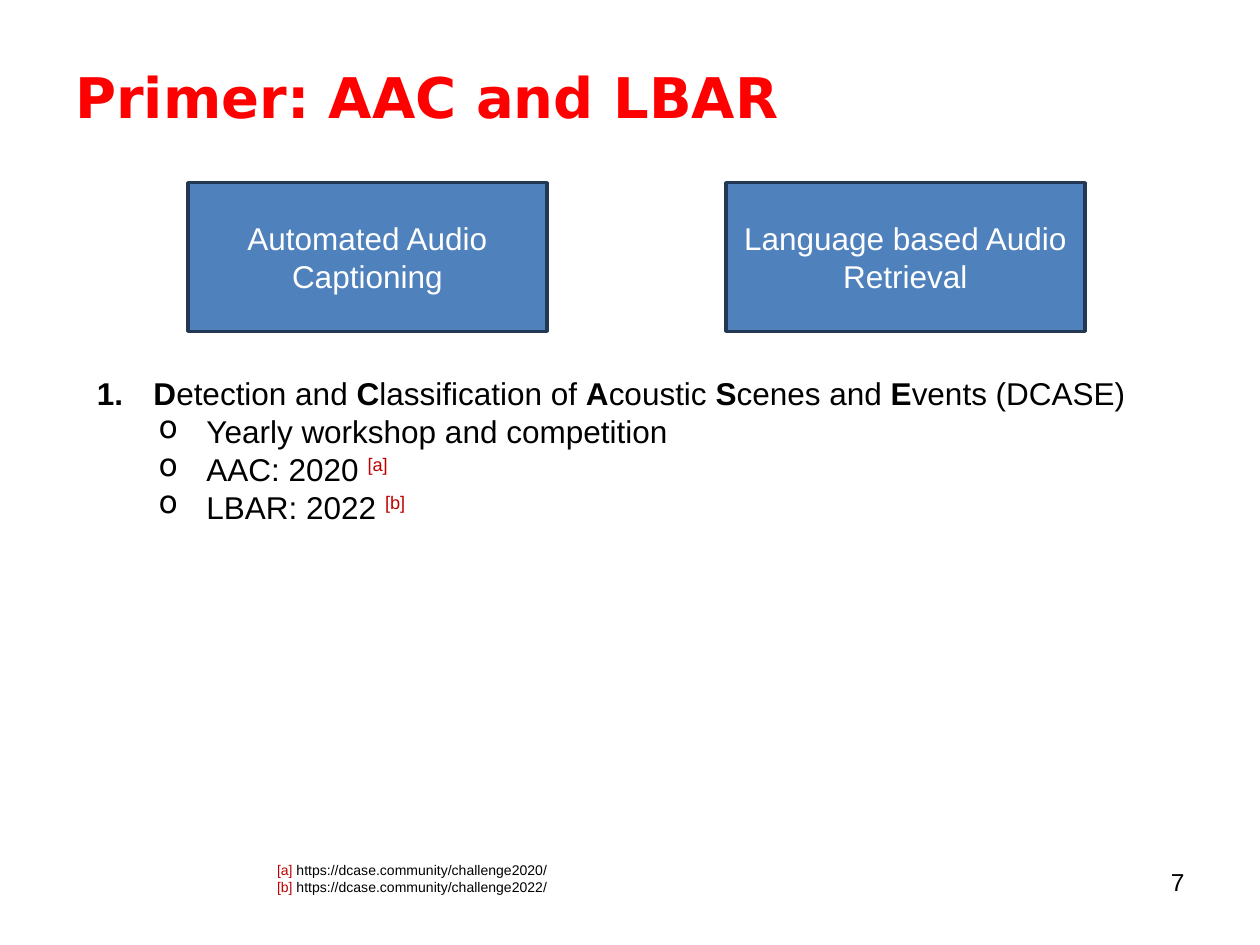
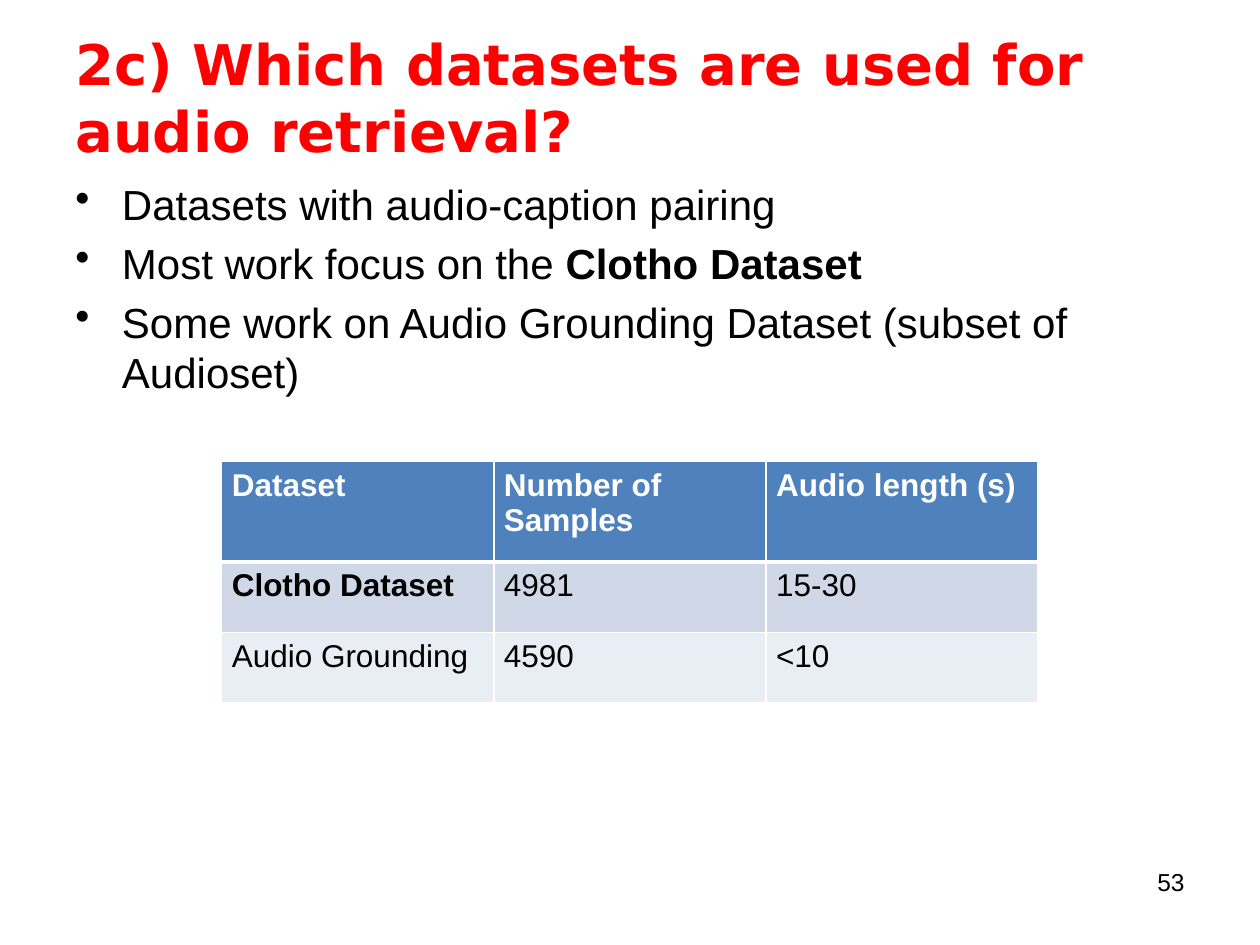
"""Builds two slides on audio captioning and language based audio retrieval."""
from lxml.etree import SubElement
from pptx import Presentation
from pptx.dml.color import RGBColor
from pptx.enum.shapes import MSO_SHAPE as Shape
from pptx.enum.text import MSO_ANCHOR as Anchor, PP_ALIGN as Align
from pptx.oxml.ns import qn
from pptx.util import Inches, Pt

RED = RGBColor(0xFF, 0x00, 0x00)
REFERENCE_RED = RGBColor(0xC0, 0x00, 0x00)
BLACK = RGBColor(0x00, 0x00, 0x00)
WHITE = RGBColor(0xFF, 0xFF, 0xFF)
BLUE = RGBColor(0x4F, 0x81, 0xBD)
NAVY = RGBColor(0x23, 0x39, 0x53)
BAND_DARK = RGBColor(0xD0, 0xD8, 0xE8)
BAND_LIGHT = RGBColor(0xE9, 0xED, 0xF4)
BODY_FONT, TITLE_FONT = "Arial", "DejaVu Sans"

WIDTH, HEIGHT, MARGIN = 10, 7.5, 0.5
CONTENT_WIDTH = WIDTH - 2 * MARGIN

BOLD = {"bold": True}
REFERENCE = {"color": REFERENCE_RED}
RAISED = {"color": REFERENCE_RED, "raised": True}
NUMBERED = {"bullet": ("buAutoNum", "type", "arabicPeriod"), "indent": 0.45, "hanging": 0.45}
CIRCLE = {"bullet": ("buChar", "char", "o"), "indent": 0.87, "hanging": 0.38, "level": 1}
DOT = {"bullet": ("buChar", "char", "•"), "indent": 0.37, "hanging": 0.37}

TASKS = ["Automated Audio Captioning", "Language based Audio Retrieval"]
CHALLENGE = [
    (NUMBERED, [("D", BOLD), "etection and ", ("C", BOLD), "lassification of ",
                ("A", BOLD), "coustic ", ("S", BOLD), "cenes and ",
                ("E", BOLD), "vents (DCASE)"]),
    (CIRCLE, ["Yearly workshop and competition"]),
    (CIRCLE, ["AAC: 2020 ", ("[a]", RAISED)]),
    (CIRCLE, ["LBAR: 2022 ", ("[b]", RAISED)]),
]
SOURCES = [
    ({}, [("[a]", REFERENCE), " https://dcase.community/challenge2020/"]),
    ({}, [("[b]", REFERENCE), " https://dcase.community/challenge2022/"]),
]
DATASET_POINTS = [
    (DOT, ["Datasets with audio-caption pairing"]),
    (DOT, ["Most work focus on the ", ("Clotho Dataset", BOLD)]),
    (DOT, ["Some work on Audio Grounding Dataset (subset of Audioset)"]),
]
DATASETS = [
    [("Dataset", BOLD), ("Number of Samples", BOLD), ("Audio length (s)", BOLD)],
    [("Clotho Dataset", BOLD), "4981", "15-30"],
    ["Audio Grounding", "4590", "<10"],
]
ROW_HEIGHTS = [0.8, 0.56, 0.56]
ROW_FILLS = [BLUE, BAND_DARK, BAND_LIGHT]


def set_bullet(paragraph, bullet, indent, hanging, level=0):
    paragraph.level = level
    properties = paragraph._p.get_or_add_pPr()
    properties.set("marL", str(Inches(indent)))
    properties.set("indent", str(-Inches(hanging)))
    tag, attribute, value = bullet
    SubElement(properties, qn("a:" + tag)).set(attribute, value)


def write_text(frame, content, size=18, color=BLACK, font=BODY_FONT, bold=False,
               align=Align.LEFT, anchor=Anchor.TOP, gap=0):
    """Fill a text frame from a string or a list of (list style, runs)."""
    frame.word_wrap = True
    frame.vertical_anchor = anchor
    paragraphs = [({}, [content])] if isinstance(content, str) else content
    for index, (list_style, runs) in enumerate(paragraphs):
        paragraph = frame.add_paragraph() if index else frame.paragraphs[0]
        paragraph.alignment = align
        if index and gap:
            paragraph.space_before = Pt(gap)
        if list_style:
            set_bullet(paragraph, **list_style)
        for item in runs:
            text, style = (item, {}) if isinstance(item, str) else item
            run = paragraph.add_run()
            run.text = text
            run.font.name, run.font.size = font, Pt(size)
            run.font.bold = style.get("bold", bold)
            run.font.color.rgb = style.get("color", color)
            if style.get("raised"):
                run._r.get_or_add_rPr().set("baseline", "30000")


def add_text(slide, content, left, top, width, height, **text_format):
    box = slide.shapes.add_textbox(*map(Inches, (left, top, width, height)))
    write_text(box.text_frame, content, **text_format)


def add_slide(presentation, title, number):
    slide = presentation.slides.add_slide(presentation.slide_layouts[6])
    add_text(slide, title, MARGIN, 0.31, CONTENT_WIDTH, 0.91, size=32, color=RED,
             font=TITLE_FONT, bold=True, anchor=Anchor.MIDDLE)
    number_width = 2.33
    add_text(slide, str(number), WIDTH - MARGIN - number_width, 6.83, number_width, 0.52,
             size=14, align=Align.RIGHT)
    return slide


def add_task_boxes(slide, left=1.49, top=1.45, width=2.85, height=1.18, step=4.27):
    for column, task in enumerate(TASKS):
        box = slide.shapes.add_shape(
            Shape.RECTANGLE, *map(Inches, (left + column * step, top, width, height)))
        box.shadow.inherit = False
        box.fill.solid()
        box.fill.fore_color.rgb = BLUE
        box.line.color.rgb = NAVY
        box.line.width = Pt(2)
        write_text(box.text_frame, task, color=WHITE, align=Align.CENTER, anchor=Anchor.MIDDLE)


def set_borders(cell, **widths):
    properties = cell._tc.get_or_add_tcPr()
    for side in "LRTB":
        line = SubElement(properties, qn("a:ln" + side), w=str(Pt(widths.get(side, 1))))
        fill = SubElement(line, qn("a:solidFill"))
        SubElement(fill, qn("a:srgbClr"), val=str(WHITE))


def add_dataset_table(slide, top=3.66, column_width=2.16):
    columns = len(DATASETS[0])
    width = columns * column_width
    left = (WIDTH - width) / 2
    table = slide.shapes.add_table(
        len(DATASETS), columns, *map(Inches, (left, top, width, sum(ROW_HEIGHTS)))).table
    for column in table.columns:
        column.width = Inches(column_width)
    for row, values in enumerate(DATASETS):
        table.rows[row].height = Inches(ROW_HEIGHTS[row])
        for column, value in enumerate(values):
            cell = table.cell(row, column)
            cell.margin_left = cell.margin_right = Inches(0.08)
            set_borders(cell, T=3 if row == 1 else 1, B=3 if row == 0 else 1)
            cell.fill.solid()
            cell.fill.fore_color.rgb = ROW_FILLS[row]
            write_text(cell.text_frame, [({}, [value])], color=BLACK if row else WHITE)


def main():
    presentation = Presentation()
    presentation.slide_width, presentation.slide_height = Inches(WIDTH), Inches(HEIGHT)

    primer = add_slide(presentation, "Primer: AAC and LBAR", 7)
    add_task_boxes(primer)
    add_text(primer, CHALLENGE, 0.67, 2.92, 8.57, 1.31)
    add_text(primer, SOURCES, 2.1, 6.79, 6.09, 0.5, size=8)

    datasets = add_slide(presentation, "2c) Which datasets are used for audio retrieval?", 53)
    add_text(datasets, DATASET_POINTS, MARGIN, 1.37, CONTENT_WIDTH, 5.17, size=24, gap=4.8)
    add_dataset_table(datasets)

    presentation.save("out.pptx")


if __name__ == "__main__":
    main()
